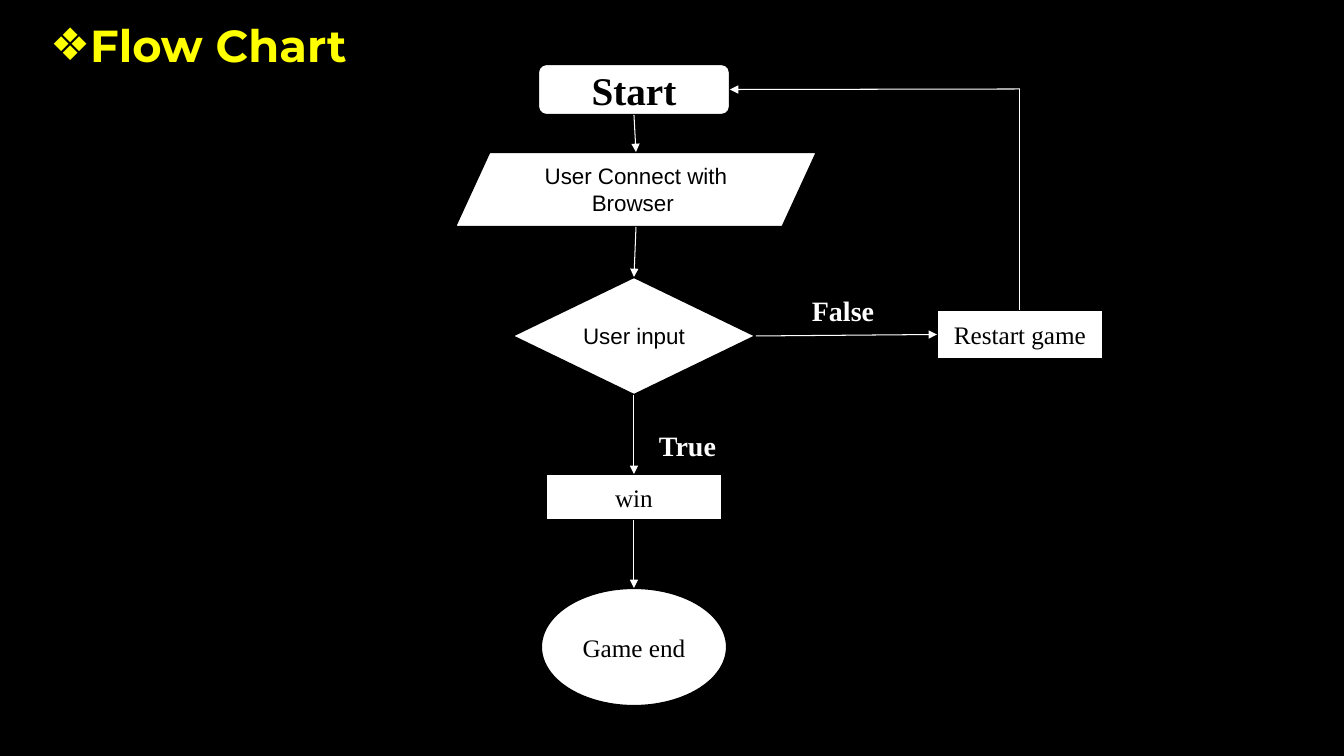
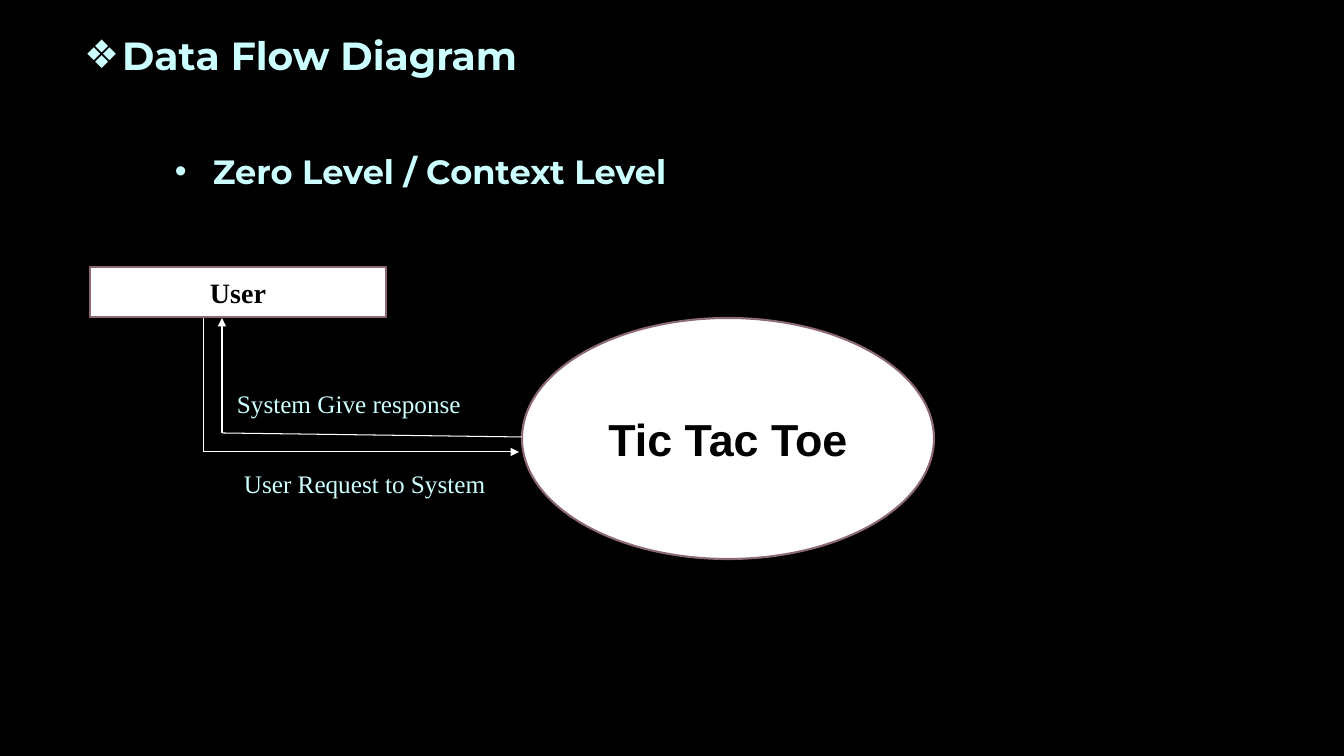
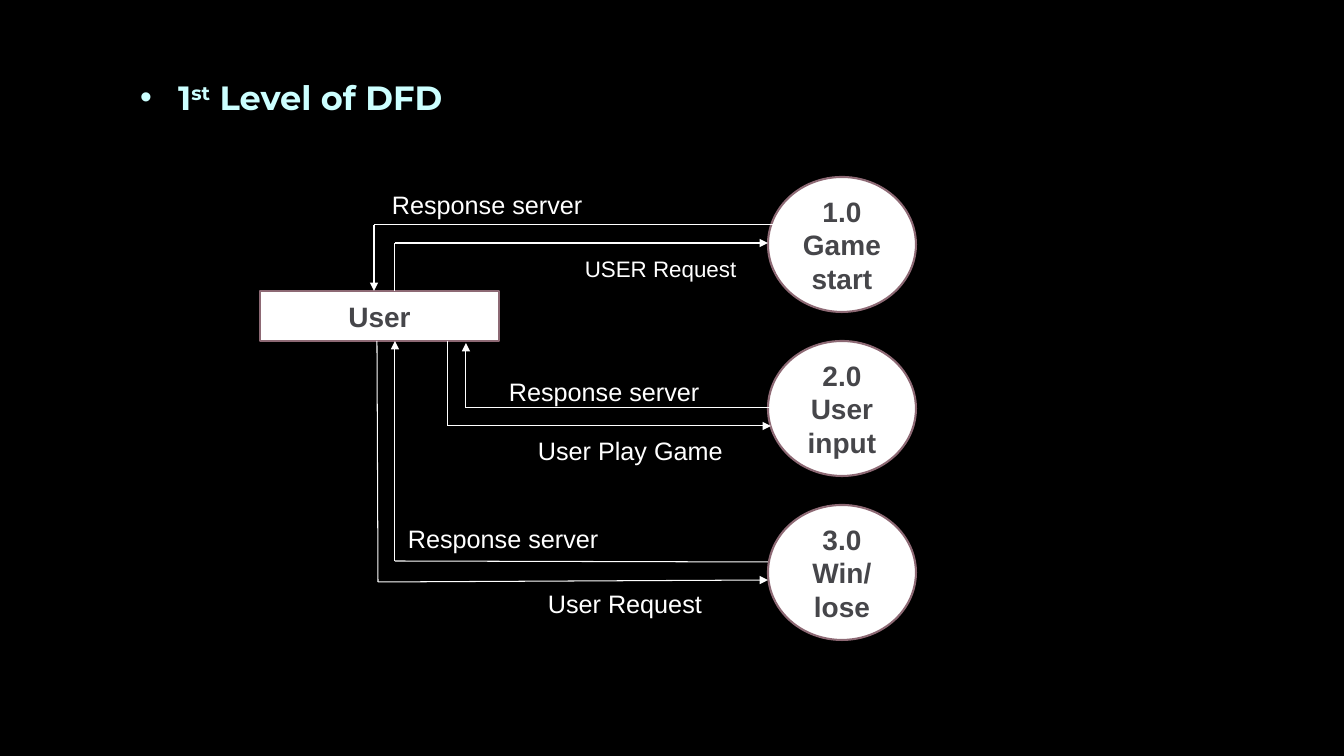
import itertools

import pptx
import pptx.util
from pptx.dml.color import RGBColor
from pptx.enum.shapes import MSO_CONNECTOR, MSO_SHAPE
from pptx.enum.text import MSO_ANCHOR, MSO_AUTO_SIZE, PP_ALIGN
from pptx.oxml.ns import qn

COLOURS = {"black": "000000", "white": "FFFFFF", "yellow": "FFFF00",
           "ice": "CCFFFF", "mauve": "8D6974", "grey": "46464A"}
SANS, SERIF, DISPLAY = "Arial", "Times New Roman", "Montserrat"
WIDTH, HEIGHT = 1344, 756
EMU_PER_PX = 914400 / 100.8
INDENT = 38

# Text style: font, points, bold, colour
HEAD_32 = (DISPLAY, 32, True, "yellow")
HEAD_28 = (DISPLAY, 28, True, "ice")
HEAD_24 = (DISPLAY, 24, True, "ice")
START = (SERIF, 28, True, "black")
STEP = (SERIF, 18, False, "black")
CHOICE = (SANS, 16, False, "black")
BRANCH = (SERIF, 20, True, "white")
USER = (SERIF, 20, True, "black")
SYSTEM = (SANS, 32, True, "black")
MESSAGE = (SERIF, 18, False, "ice")
ENTITY = (SANS, 20, True, "grey")
CAPTION = (SANS, 18, False, "white")
SMALL_CAPTION = (SANS, 16, False, "white")

RECT, ROUND, OVAL = MSO_SHAPE.RECTANGLE, MSO_SHAPE.ROUNDED_RECTANGLE, MSO_SHAPE.OVAL
SLANT, DIAMOND = MSO_SHAPE.PARALLELOGRAM, MSO_SHAPE.DIAMOND
TOP, LEFT, BOTTOM, RIGHT = range(4)
PROCESSES = [["1.0", "Game start"], ["2.0", "User input"], ["3.0", "Win/", "lose"]]

# headings: box, bullet, centred, style, runs (the first one is the title;
#           a run in a tuple is superscript)
# nodes:    name -> preset, box, style, paragraphs
# flows:    points (x, y) or (node, side), with an arrowhead at the last
# labels:   box, style, text
SLIDES = [
    {
        "headings": [((0, 13, 397, 65), "❖", True, HEAD_32, ["Flow Chart"])],
        "outline": "black",
        "nodes": {
            "start": (ROUND, (538, 64, 192, 51), START, ["Start"]),
            "connect": (SLANT, (455, 152, 362, 75), CHOICE, ["User Connect with Browser "]),
            "input": (DIAMOND, (512, 277, 244, 118), CHOICE, ["User input "]),
            "restart": (RECT, (937, 310, 166, 49), STEP, ["Restart game"]),
            "win": (RECT, (546, 474, 176, 46), STEP, ["win"]),
            "end": (OVAL, (541, 588, 186, 118), STEP, ["Game end"]),
        },
        "flows": [
            [("start", BOTTOM), (636, 152)],
            [(636, 227), ("input", TOP)],
            [("input", RIGHT), ("restart", LEFT)],
            [("restart", TOP), (1020, 89), ("start", RIGHT)],
            [("input", BOTTOM), ("win", TOP)],
            [("win", BOTTOM), ("end", TOP)],
        ],
        "labels": [
            ((649, 424, 107, 44), BRANCH, "True"),
            ((802, 289, 145, 44), BRANCH, "False"),
        ],
    },
    {
        "headings": [
            ((13, 26, 575, 57), "❖", True, HEAD_28, ["Data Flow Diagram"]),
            ((165, 146, 554, 50), "•", False, HEAD_24, ["Zero Level / Context Level"]),
        ],
        "outline": "mauve",
        "nodes": {
            "system": (OVAL, (522, 318, 412, 241), SYSTEM, ["Tic Tac Toe"]),
            "user": (RECT, (90, 267, 296, 50), USER, ["User"]),
        },
        "flows": [
            [(204, 318), (204, 452), (519, 452)],
            [(522, 437), (222, 433), (222, 318)],
        ],
        "labels": [
            ((234, 463, 316, 40), MESSAGE, "User Request to System"),
            ((227, 383, 331, 40), MESSAGE, "System Give response"),
        ],
    },
    {
        "headings": [((130, 72, 428, 50), "•", False, HEAD_24,
                      ["1", ("st",), " Level of DFD"])],
        "outline": "mauve",
        "nodes": {
            "user": (RECT, (260, 291, 239, 50), ENTITY, ["User"]),
            **{lines[0]: (OVAL, (768, 177 + 164 * i, 148, 135), ENTITY, lines)
               for i, lines in enumerate(PROCESSES)},
        },
        "flows": [
            [(783, 225), (374, 225), (374, 291)],
            [(395, 291), (395, 243), (768, 243)],
            [(771, 408), (466, 408), (466, 343)],
            [(448, 341), (448, 426), (771, 426)],
            [(768, 562), (395, 561), (395, 341)],
            [(377, 341), (378, 582), (768, 580)],
        ],
        "labels": [
            ((575, 250, 200, 37), SMALL_CAPTION, "USER Request"),
            ((382, 184, 220, 40), CAPTION, "Response server"),
            ((499, 371, 220, 40), CAPTION, "Response server"),
            ((528, 430, 220, 40), CAPTION, "User Play Game"),
            ((398, 518, 220, 40), CAPTION, "Response server"),
            ((538, 583, 220, 40), CAPTION, "User Request"),
        ],
    },
]


def px(*lengths):
    return [pptx.util.Emu(round(v * EMU_PER_PX)) for v in lengths]


def rgb(name):
    return RGBColor.from_string(COLOURS[name])


def add_run(p, text, style):
    r = p.add_run()
    r.text = text
    font, size, bold, colour = style
    r.font.name, r.font.size, r.font.bold = font, pptx.util.Pt(size), bold
    r.font.color.rgb = rgb(colour)
    return r


def set_heading(sp, box, bullet, centred, style, runs):
    """Place a title or text box and fill it with one bulleted line."""
    sp.left, sp.top, sp.width, sp.height = px(*box)
    tf = sp.text_frame
    tf.word_wrap, tf.auto_size = True, MSO_AUTO_SIZE.NONE
    tf.vertical_anchor = MSO_ANCHOR.TOP
    p = tf.paragraphs[0]
    p.alignment = PP_ALIGN.CENTER if centred else PP_ALIGN.LEFT
    pPr = p._p.get_or_add_pPr()
    indent = px(INDENT)[0]
    pPr.set("marL", str(indent))
    pPr.set("indent", str(-indent))
    pPr.makeelement(qn("a:buFont"))
    for tag, key, value in (("a:buFont", "typeface", SANS), ("a:buChar", "char", bullet)):
        el = pPr.makeelement(qn(tag), {key: value})
        pPr.append(el)
    for run in runs:
        raised = isinstance(run, tuple)
        r = add_run(p, run[0] if raised else run, style)
        if raised:
            r._r.get_or_add_rPr().set("baseline", "30000")


def add_node(s, preset, box, style, lines, outline):
    sp = s.shapes.add_shape(preset, *px(*box))
    sp.shadow.inherit = False
    if preset == SLANT:
        sp.adjustments[0] = 0.46
    sp.fill.solid()
    sp.fill.fore_color.rgb = rgb("white")
    sp.line.color.rgb = rgb(outline)
    sp.line.width = pptx.util.Pt(1.5)
    tf = sp.text_frame
    tf.word_wrap, tf.vertical_anchor = True, MSO_ANCHOR.MIDDLE
    for i, line in enumerate(lines):
        p = tf.add_paragraph() if i else tf.paragraphs[0]
        p.alignment = PP_ALIGN.CENTER
        add_run(p, line, style)
    return sp


def add_flow(s, points, nodes):
    """Draw a chain of straight lines that ends in an arrowhead."""
    for a, b in itertools.pairwise(points):
        start, end = [(0, 0) if pt[0] in nodes else pt for pt in (a, b)]
        line = s.shapes.add_connector(MSO_CONNECTOR.STRAIGHT, *px(*start, *end))
        if a[0] in nodes:
            line.begin_connect(nodes[a[0]], a[1])
        if b[0] in nodes:
            line.end_connect(nodes[b[0]], b[1])
        line.line.color.rgb = rgb("white")
        line.line.width = pptx.util.Pt(0.75)
        if b is points[-1]:
            ln = line.line._get_or_add_ln()
            ln.append(ln.makeelement(qn("a:tailEnd"), {"type": "triangle"}))
        spPr = line._element.spPr
        spPr.append(spPr.makeelement(qn("a:effectLst")))


def add_label(s, box, style, text):
    tf = s.shapes.add_textbox(*px(*box)).text_frame
    tf.word_wrap = True
    add_run(tf.paragraphs[0], text, style)


def main():
    prs = pptx.Presentation()
    prs.slide_width, prs.slide_height = px(WIDTH, HEIGHT)
    background = prs.slide_master.background.fill
    background.solid()
    background.fore_color.rgb = rgb("black")
    for content in SLIDES:
        s = prs.slides.add_slide(prs.slide_layouts[5])
        title, *subheads = content["headings"]
        set_heading(s.shapes.title, *title)
        for subhead in subheads:
            set_heading(s.shapes.add_textbox(*px(*subhead[0])), *subhead)
        nodes = {name: add_node(s, *node, content["outline"])
                 for name, node in content["nodes"].items()}
        for points in content["flows"]:
            add_flow(s, points, nodes)
        for label in content["labels"]:
            add_label(s, *label)
    prs.save("out.pptx")


if __name__ == "__main__":
    main()
